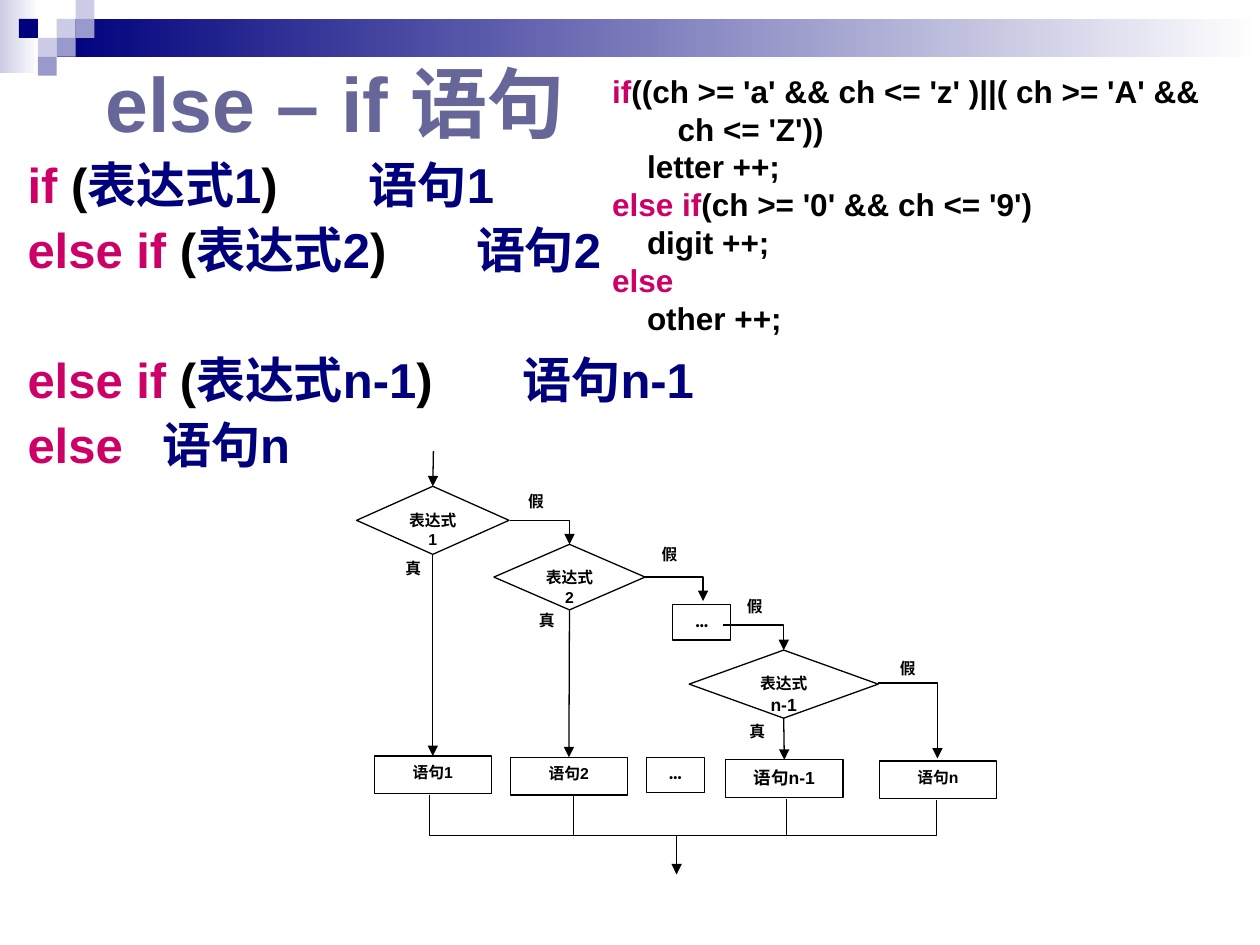
from lxml.etree import SubElement
from pptx import Presentation
from pptx.dml.color import RGBColor
from pptx.enum.shapes import MSO_CONNECTOR as CONNECTOR, MSO_SHAPE as SHAPE
from pptx.enum.text import MSO_ANCHOR as ANCHOR, MSO_AUTO_SIZE as AUTO_SIZE, PP_ALIGN as ALIGN
from pptx.oxml.ns import qn
from pptx.util import Inches, Pt

BLACK = RGBColor(0x00, 0x00, 0x00)
WHITE = RGBColor(0xFF, 0xFF, 0xFF)
NAVY = RGBColor(0x00, 0x00, 0x7D)
PINK = RGBColor(0xCC, 0x00, 0x66)
SLATE = RGBColor(0x66, 0x66, 0x99)
LILAC = RGBColor(0x99, 0x99, 0xCC)
PALE = RGBColor(0xCC, 0xCC, 0xE6)

presentation = Presentation()
presentation.slide_width, presentation.slide_height = Inches(10), Inches(7.5)
UNIT = presentation.slide_width / 100  # the slide is a grid of 100 columns by 75 rows
slide = presentation.slides.add_slide(presentation.slide_layouts[5])
shapes = slide.shapes


def grid(*cells):
    return [round(cell * UNIT) for cell in cells]


def style_line(shape, arrow):
    shape.line.color.rgb = BLACK
    shape.line.width = Pt(0.75)
    properties = shape._element.spPr
    if arrow:
        SubElement(properties.find(qn("a:ln")), qn("a:tailEnd"), type="triangle")
    SubElement(properties, qn("a:effectLst"))


# Header band and mosaic
for box, left_color, right_color in [((0, 0, 3.1, 5.8), PALE, WHITE),
                                     ((4.5, 1.5, 95.5, 3), NAVY, WHITE)]:
    band = shapes.add_shape(SHAPE.RECTANGLE, *grid(*box))
    band.shadow.inherit = False
    band.line.fill.background()
    band.fill.gradient()
    band.fill.gradient_angle = 0
    for stop, color in zip(band.fill.gradient_stops, (left_color, right_color)):
        stop.color.rgb = color

TILE = 1.5
for column, row, color in [(3, 1, PALE), (4, 0, PALE), (4, 1, LILAC), (2, 2, PALE),
                           (1, 1, NAVY), (3, 2, LILAC), (2, 3, LILAC)]:
    tile = shapes.add_shape(SHAPE.RECTANGLE, *grid(column * TILE, row * TILE, TILE, TILE))
    tile.shadow.inherit = False
    tile.line.fill.background()
    tile.fill.solid()
    tile.fill.fore_color.rgb = color

# Title
title = shapes.title
title.left, title.top, title.width, title.height = grid(7.4, 2.8, 40.3, 10.5)
title.text_frame.text = "else – if 语句"
title.text_frame.auto_size = AUTO_SIZE.NONE
title.text_frame.vertical_anchor = ANCHOR.MIDDLE
paragraph = title.text_frame.paragraphs[0]
paragraph.alignment = ALIGN.LEFT
paragraph.font.name, paragraph.font.size, paragraph.font.bold = "Arial", Pt(44), True
paragraph.font.color.rgb = SLATE

# Syntax: space before, tab stop of the statement, coloured runs
syntax = [
    (0, 27.1, [("if", PINK), (" (", BLACK), ("表达式1", NAVY), (")\t", BLACK), ("语句1", NAVY)]),
    (7, 35.6, [("else if", PINK), (" (", BLACK), ("表达式2", NAVY), (")\t", BLACK),
               ("语句2", NAVY)]),
    (44, 39.3, [("else if", PINK), (" (", BLACK), ("表达式n-1", NAVY), (")\t", BLACK),
                ("语句n-1", NAVY)]),
    (7, 10.7, [("else\t", PINK), ("语句n", NAVY)]),
]
# Example code
code = [
    [("if", PINK), ("((ch >= 'a' && ch <= 'z' )||( ch >= 'A' && ch <= 'Z'))", BLACK)],
    [("    letter ++;", BLACK)],
    [("else if", PINK), ("(ch >= '0' && ch <= '9')", BLACK)],
    [("    digit ++;", BLACK)],
    [("else", PINK)],
    [("    other ++;", BLACK)],
]
for box, size, spacing, lines in [
    ((1.2, 12.3, 55.9, 27.6), 28, 0.9, syntax),
    ((47.6, 5.2, 49.6, 22.8), 18, 1, [(0, None, runs) for runs in code]),
]:
    frame = shapes.add_textbox(*grid(*box)).text_frame
    frame.word_wrap = True
    for index, (before, tab, runs) in enumerate(lines):
        paragraph = frame.paragraphs[0] if index == 0 else frame.add_paragraph()
        properties = paragraph._p.get_or_add_pPr()
        paragraph.line_spacing = spacing
        paragraph.space_before = Pt(before)
        if tab:
            tabs = SubElement(properties, qn("a:tabLst"))
            SubElement(tabs, qn("a:tab"), pos=str(round(tab * UNIT)), algn="l")
        else:
            properties.set("marL", str(Inches(0.52)))
            properties.set("indent", str(-Inches(0.52)))
        paragraph.font.name, paragraph.font.size, paragraph.font.bold = "Arial", Pt(size), True
        for text, color in runs:
            run = paragraph.add_run()
            run.text = text
            run.font.color.rgb = color

# Flowchart nodes and branch labels
DECISION, PROCESS, BOX = SHAPE.FLOWCHART_DECISION, SHAPE.FLOWCHART_PROCESS, SHAPE.RECTANGLE
nodes = []
for kind, text, box, size in [
    (DECISION, "表达式1", (28.3, 38.6, 12.1, 5.4), 9),
    (DECISION, "表达式2", (39.2, 43.2, 12, 5.2), 9),
    (DECISION, "表达式n-1", (54.7, 51.6, 15, 5.4), 9),
    (PROCESS, "语句1", (29.7, 60, 9.3, 3), 9),
    (PROCESS, "语句2", (40.5, 60.1, 9.3, 3), 9),
    (PROCESS, "语句n-1", (57.6, 60.3, 9.3, 3), 10),
    (PROCESS, "语句n", (69.8, 60.4, 9.3, 3), 9),
    (BOX, "…", (53.4, 48, 4.6, 2.8), 9),
    (BOX, "…", (51.3, 60.1, 4.6, 2.8), 9),
    (None, "假", (40.9, 38.5, 3.3, 2.8), 9),
    (None, "假", (51.5, 42.7, 3.3, 2.8), 9),
    (None, "假", (55.5, 46.8, 8.8, 2.8), 9),
    (None, "假", (69, 51.7, 6.1, 2.8), 9),
    (None, "真", (30.3, 43.8, 5, 2.8), 9),
    (None, "真", (40.9, 47.9, 5, 2.8), 9),
    (None, "真", (57.6, 56.7, 5, 2.8), 9),
]:
    if kind is None:
        node = shapes.add_textbox(*grid(*box))
    else:
        node = shapes.add_shape(kind, *grid(*box))
        node.fill.background()
        style_line(node, False)
    nodes.append(node)
    frame = node.text_frame
    frame.word_wrap = True
    frame.vertical_anchor = ANCHOR.TOP
    paragraph = frame.paragraphs[0]
    paragraph.alignment = ALIGN.CENTER
    paragraph.line_spacing = 1.04
    paragraph.font.name = "Montserrat" if text == "…" else "Arial"
    paragraph.font.size, paragraph.font.bold = Pt(size), True
    paragraph.font.color.rgb = BLACK
    # The suffix of the last condition is a little larger
    for part in ("表达式", "n-1") if text == "表达式n-1" else (text,):
        run = paragraph.add_run()
        run.text = part
        if part == "n-1":
            run.font.size = Pt(10)
        run.font.color.rgb = BLACK

# Straight lines: start, end, arrow, node above, node below
first, second, last, statement_1, statement_2, statement_last = nodes[:6]
for start, end, arrow, above, below in [
    ((34.4, 35.8), (34.4, 38.6), True, None, first),
    ((34.4, 44), (34.4, 60), True, first, statement_1),
    ((45.2, 48.4), (45.2, 60.1), True, second, statement_2),
    ((62.2, 57), (62.2, 60.3), True, last, statement_last),
    ((45.5, 63.1), (45.5, 66.3), False, None, None),
    ((62.4, 63.4), (62.4, 66.3), False, None, None),
    ((53.7, 66.3), (53.7, 69.4), True, None, None),
]:
    connector = shapes.add_connector(CONNECTOR.STRAIGHT, *grid(*start, *end))
    if above:
        connector.begin_connect(above, 2)
    if below:
        connector.end_connect(below, 0)
    style_line(connector, arrow)

# Bent lines: the "false" branches and the joining line
for points, arrow in [
    ([(40.5, 41.3), (45.2, 41.3), (45.2, 43.2)], True),
    ([(51.1, 45.8), (55.8, 45.8), (55.8, 47.7)], True),
    ([(57.4, 49.6), (62.2, 49.6), (62.2, 51.6)], True),
    ([(69.7, 54.2), (74.4, 54.2), (74.4, 60.2)], True),
    ([(34.1, 63.1), (34.1, 66.3), (74.3, 66.3), (74.3, 63.5)], False),
]:
    builder = shapes.build_freeform(*grid(*points[0]))
    builder.add_line_segments([grid(*point) for point in points[1:]], close=False)
    bent_line = builder.convert_to_shape()
    bent_line.fill.background()
    style_line(bent_line, arrow)

presentation.save("out.pptx")
